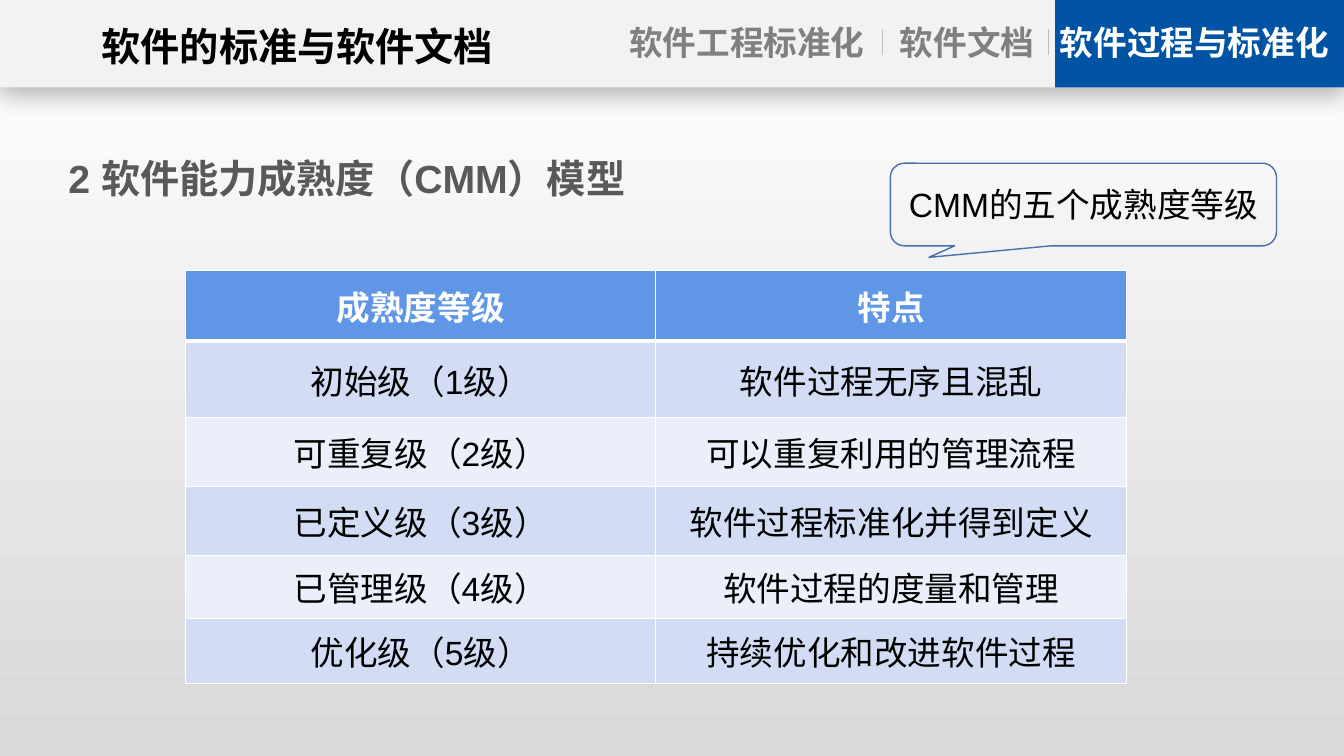
from lxml.etree import SubElement
from pptx import Presentation
from pptx.dml.color import RGBColor
from pptx.enum.shapes import MSO_CONNECTOR as Line, MSO_SHAPE as Preset
from pptx.enum.text import MSO_ANCHOR as Anchor, PP_ALIGN as Align
from pptx.oxml.ns import qn
from pptx.util import Pt

COLORS = {
    "white": "FFFFFF", "black": "000000", "backdrop_end": "D9D9D9",
    "header": "F2F2F2", "active": "0054A3", "separator": "BFBFBF",
    "tab": "808080", "heading": "595959", "callout": "476FAA",
    "table_head": "6096E6", "odd_row": "D2DDF5", "even_row": "EAEFFA",
}


def rgb(name):
    return RGBColor.from_string(COLORS[name])


class SlideBuilder:
    """Draws styled elements on one slide, with lengths in points."""

    font_name = "Arial"

    def __init__(self, slide):
        self.slide = slide

    def backdrop(self, top, bottom):
        fill = self.slide.background.fill
        fill.gradient()
        fill.gradient_angle = 270
        for stop, color in zip(fill.gradient_stops, (top, bottom)):
            stop.color.rgb = rgb(color)

    def add_words(self, frame, words, size, color, bold=False,
                  align=Align.CENTER):
        paragraph = frame.paragraphs[0]
        paragraph.alignment = align
        run = paragraph.add_run()
        run.text = words
        run.font.name = self.font_name
        run.font.size = Pt(size)
        run.font.bold = bold
        run.font.color.rgb = rgb(color)

    def shape(self, preset, box, fill=None, outline=None):
        shape = self.slide.shapes.add_shape(preset, *map(Pt, box))
        shape.shadow.inherit = False
        if fill:
            shape.fill.solid()
            shape.fill.fore_color.rgb = rgb(fill)
        else:
            shape.fill.background()
        if outline:
            shape.line.color.rgb = rgb(outline)
            shape.line.width = Pt(1)
        else:
            shape.line.fill.background()
        return shape

    def drop_shadow(self, shape, blur, distance, opacity):
        effects = shape._element.spPr.find(qn("a:effectLst"))
        shadow = SubElement(effects, qn("a:outerShdw"), blurRad=str(Pt(blur)),
                            dist=str(Pt(distance)), dir="5400000",
                            algn="t", rotWithShape="0")
        tint = SubElement(shadow, qn("a:srgbClr"), val=COLORS["black"])
        SubElement(tint, qn("a:alpha"), val=str(opacity * 1000))

    def text(self, box, words, size, color, align=Align.CENTER,
             anchor=Anchor.TOP, side=0):
        frame = self.slide.shapes.add_textbox(*map(Pt, box)).text_frame
        frame.word_wrap = True
        frame.vertical_anchor = anchor
        frame.margin_left = frame.margin_right = Pt(side)
        self.add_words(frame, words, size, color, True, align)

    def separator(self, x, top, bottom):
        line = self.slide.shapes.add_connector(
            Line.STRAIGHT, Pt(x), Pt(top), Pt(x), Pt(bottom))
        line.line.color.rgb = rgb("separator")
        line.line.width = Pt(0.5)
        SubElement(line._element.spPr, qn("a:effectLst"))

    def callout(self, box, adjustments, words):
        bubble = self.shape(Preset.ROUNDED_RECTANGULAR_CALLOUT, box,
                            outline="callout")
        for index, value in enumerate(adjustments):
            bubble.adjustments[index] = value
        frame = bubble.text_frame
        frame.word_wrap = True
        frame.vertical_anchor = Anchor.MIDDLE
        self.add_words(frame, words, 24, "black")

    def cell_borders(self, cell, widths):
        properties = cell._tc.get_or_add_tcPr()
        for side, width in widths.items():
            border = SubElement(properties, qn(f"a:ln{side}"), w=str(Pt(width)))
            fill = SubElement(border, qn("a:solidFill"))
            SubElement(fill, qn("a:srgbClr"), val=COLORS["white"])

    def table(self, left, top, column_width, heights, rows):
        columns = len(rows[0])
        table = self.slide.shapes.add_table(
            len(rows), columns, Pt(left), Pt(top),
            Pt(column_width * columns), Pt(sum(heights))).table
        for column in table.columns:
            column.width = Pt(column_width)
        for r, (height, row) in enumerate(zip(heights, rows)):
            table.rows[r].height = Pt(height)
            is_head = r == 0
            band = "odd_row" if r % 2 else "even_row"
            for c, words in enumerate(row):
                cell = table.cell(r, c)
                self.cell_borders(cell, {"L": 1, "R": 1,
                                         "T": 3 if r == 1 else 1,
                                         "B": 3 if is_head else 1})
                cell.fill.solid()
                cell.fill.fore_color.rgb = rgb("table_head" if is_head else band)
                cell.vertical_anchor = Anchor.MIDDLE
                self.add_words(cell.text_frame, words, 24,
                               "white" if is_head else "black", is_head)


def main():
    deck = Presentation()
    deck.slide_width, deck.slide_height = Pt(960), Pt(540)
    page = SlideBuilder(deck.slides.add_slide(deck.slide_layouts[6]))
    page.backdrop("white", "backdrop_end")

    header = page.shape(Preset.RECTANGLE, (0, 0, 960, 62.5), "header")
    page.drop_shadow(header, blur=18, distance=4, opacity=29)
    page.shape(Preset.RECTANGLE, (753.7, 0, 206.3, 62.5), "active")
    page.text((41.8, 12.2, 341.3, 41), "软件的标准与软件文档", 28, "black")
    for left, width, topic, color in (
        (444.2, 178.6, "软件工程标准化", "tab"),
        (637.9, 105.8, "软件文档", "tab"),
        (753.8, 198.7, "软件过程与标准化", "white"),
    ):
        page.text((left, 12.2, width, 36.7), topic, 24, color)
    for x in (630, 748.8):
        page.separator(x, 20.9, 39.6)

    levels = [
        ("成熟度等级", "特点"),
        ("初始级（1级）", "软件过程无序且混乱"),
        ("可重复级（2级）", "可以重复利用的管理流程"),
        ("已定义级（3级）", "软件过程标准化并得到定义"),
        ("已管理级（4级）", "软件过程的度量和管理"),
        ("优化级（5级）", "持续优化和改进软件过程"),
    ]
    page.table(132.5, 193.4, 336, (50.4, 54.7, 49.2, 49.4, 44.8, 46.2), levels)
    page.text((41.8, 99.4, 509.8, 55.4), "2 软件能力成熟度（CMM）模型", 28,
              "heading", Align.LEFT, Anchor.MIDDLE, side=7.2)
    page.callout((636, 116.6, 275.8, 59), (-0.4, 0.64, 0.17),
                 "CMM的五个成熟度等级")
    deck.save("out.pptx")


if __name__ == "__main__":
    main()
